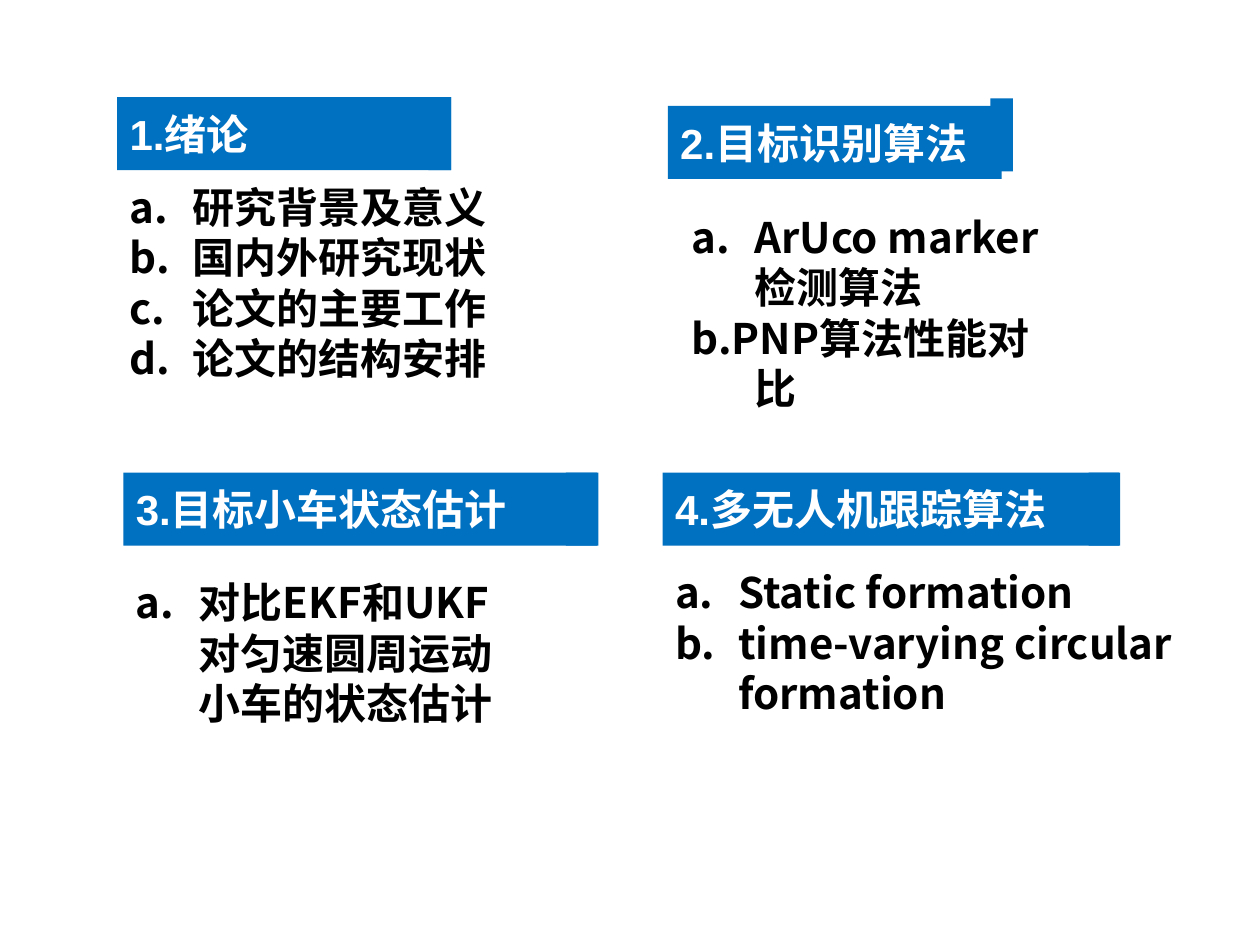
from pptx import Presentation
from pptx.dml.color import RGBColor
from pptx.enum.shapes import MSO_SHAPE as Shape
from pptx.enum.text import MSO_ANCHOR as Anchor, MSO_AUTO_SIZE as AutoSize, PP_ALIGN as Align
from pptx.oxml.ns import qn
from pptx.util import Inches, Pt
from lxml.etree import SubElement

BLUE, WHITE, BLACK = "0070C0", "FFFFFF", "000000"
LATIN, CHINESE = "Arial", "Noto Sans CJK SC"
BANNER_HEIGHT = 0.58


def color(value):
    return RGBColor.from_string(value)


class Outline:
    """Holds the style and the current slide."""

    def __init__(self, page, size=24):
        self.page = page
        self.size = size

    def span(self, para, text, font, ink):
        span = para.add_run()
        span.text = text
        span.font.size = Pt(self.size)
        span.font.bold = True
        span.font.color.rgb = color(ink)
        span.font.name = font
        SubElement(span.font._element, qn("a:ea"), typeface=CHINESE)

    def block(self, group, left, top, width):
        block = group.shapes.add_shape(Shape.RECTANGLE, Inches(left), Inches(top),
                                       Inches(width), Inches(BANNER_HEIGHT))
        block.shadow.inherit = False
        block.fill.solid()
        block.fill.fore_color.rgb = color(BLUE)
        block.line.fill.background()
        return block

    def banner(self, title, bar, end):
        """A titled bar with a short end block, kept in one group."""
        group = self.page.shapes.add_group_shape()
        frame = self.block(group, *bar).text_frame
        frame.word_wrap = True
        frame.vertical_anchor = Anchor.MIDDLE
        para = frame.paragraphs[0]
        para.alignment = Align.LEFT
        self.span(para, title, LATIN, WHITE)
        self.block(group, *end)

    def topics(self, area, lettered, plain=()):
        """Lettered topics, then topics whose letter is typed in the text."""
        box = self.page.shapes.add_textbox(*(Inches(value) for value in area))
        frame = box.text_frame
        frame.word_wrap = True
        frame.auto_size = AutoSize.SHAPE_TO_FIT_TEXT
        for index, text in enumerate([*lettered, *plain]):
            para = frame.add_paragraph() if index else frame.paragraphs[0]
            props = para._p.get_or_add_pPr()
            props.set("marL", str(Inches(0.5)))
            props.set("indent", str(Inches(-0.5)))
            if index < len(lettered):
                SubElement(props, qn("a:buAutoNum"), type="alphaLcPeriod")
            else:
                SubElement(props, qn("a:buNone"))
            self.span(para, text, CHINESE, BLACK)


def main():
    deck = Presentation()
    deck.slide_width, deck.slide_height = Inches(10), Inches(7.5)
    outline = Outline(deck.slides.add_slide(deck.slide_layouts[6]))

    # Chapter 1
    outline.banner("1.绪论", (0.93, 0.77, 2.65), (3.4, 0.77, 0.18))
    outline.topics((0.93, 1.39, 3.2, 1.7),
                   ["研究背景及意义", "国内外研究现状", "论文的主要工作", "论文的结构安排"])

    # Chapter 2
    outline.banner("2.目标识别算法", (5.3, 0.84, 2.65), (7.86, 0.78, 0.18))
    outline.topics((5.39, 1.63, 3.2, 2.1), ["ArUco marker检测算法"], ["b.PNP算法性能对比"])

    # Chapter 3
    outline.banner("3.目标小车状态估计", (0.98, 3.75, 3.77), (4.49, 3.75, 0.25))
    outline.topics((0.98, 4.53, 3.2, 1.7), ["对比EKF和UKF对匀速圆周运动小车的状态估计"])

    # Chapter 4
    outline.banner("4.多无人机跟踪算法", (5.26, 3.75, 3.63), (8.64, 3.75, 0.24))
    outline.topics((5.26, 4.45, 4.28, 1.7),
                   ["Static formation", "time-varying circular formation"])

    deck.save("out.pptx")


if __name__ == "__main__":
    main()
